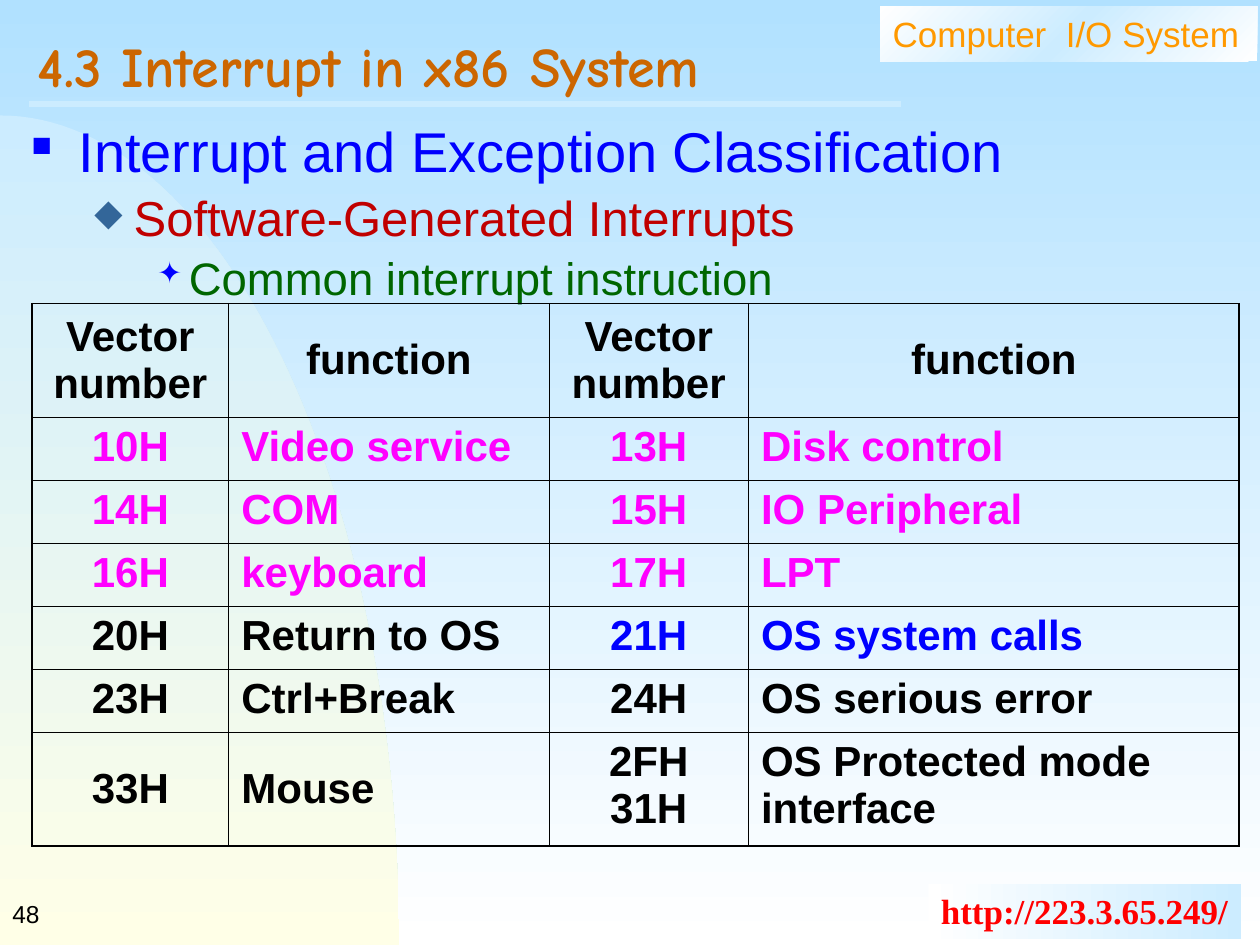
from dataclasses import dataclass
from math import cos, pi, sin

from lxml.etree import SubElement
from pptx import Presentation
from pptx.dml.color import RGBColor
from pptx.enum.shapes import MSO_CONNECTOR as CONN, MSO_SHAPE as SHAPE
from pptx.enum.text import MSO_ANCHOR as ANCHOR, MSO_AUTO_SIZE as AUTO, PP_ALIGN as ALIGN
from pptx.oxml.ns import qn
from pptx.util import Pt


@dataclass(frozen=True)
class Theme:
    sans: str = "Arial"
    serif: str = "Times New Roman"
    display: str = "Comic Neue"
    black: str = "000000"
    white: str = "FFFFFF"
    sky: str = "B1E1FF"
    pale: str = "CCECFF"
    cream: str = "FFFFE7"
    orange: str = "FF9900"
    brown: str = "CC6600"
    red: str = "FF0000"
    crimson: str = "C00000"
    green: str = "006600"
    blue: str = "0000FF"
    steel: str = "336699"
    magenta: str = "FF00FF"
    title: int = 32
    body: tuple = (32, 28, 26)
    cell: int = 24
    label: int = 20
    number: int = 14
    outer: float = 1.08
    inner: float = 0.45


T = Theme()
WIDTH, HEIGHT = 720, 540

VECTORS = [
    ("Vector number", "function", "Vector number", "function"),
    ("10H", "Video service", "13H", "Disk control"),
    ("14H", "COM", "15H", "IO Peripheral"),
    ("16H", "keyboard", "17H", "LPT"),
    ("20H", "Return to OS", "21H", "OS system calls"),
    ("23H", "Ctrl+Break", "24H", "OS serious error"),
    ("33H", "Mouse", "2FH\n31H", "OS Protected mode interface"),
]
COL_WIDTHS = (112.5, 183, 114, 280.5)
ROW_HEIGHTS = (64.8, 36, 36, 36, 36, 36, 64.8)


def pts(box):
    return [Pt(v) for v in box]


def add_run(p, text, size, color, font=T.sans, bold=False):
    r = p.add_run()
    r.text = text
    r.font.size, r.font.name, r.font.bold = Pt(size), font, bold
    r.font.color.rgb = RGBColor.from_string(color)


def set_gradient(fill, element, colors, angle):
    """Spread the colours evenly; the angle runs clockwise."""
    fill.gradient()
    fill.gradient_angle = -angle % 360
    stops = element.find(".//" + qn("a:gsLst"))
    for stop in list(stops):
        stops.remove(stop)
    for i, color in enumerate(colors):
        stop = SubElement(stops, qn("a:gs"), pos=str(i * 100000 // (len(colors) - 1)))
        SubElement(stop, qn("a:srgbClr"), val=color)


def add_corner_curve(slide, box):
    """Quarter ellipse centred on the lower left corner of the box."""
    left, top, width, height = box
    bottom = top + height
    steps = 60
    arc = [(Pt(left + width * sin(a)), Pt(bottom - height * cos(a)))
           for a in (pi / 2 * i / steps for i in range(steps + 1))]
    builder = slide.shapes.build_freeform(*arc[0])
    builder.add_line_segments(arc[1:] + [(Pt(left), Pt(bottom))], close=True)
    sp = builder.convert_to_shape()
    sp.shadow.inherit = False
    sp.line.fill.background()
    set_gradient(sp.fill, sp._element.spPr, (T.pale, T.cream), 90)


def add_label(slide, box, text, color, font, bold, colors, angle, wrap):
    sp = slide.shapes.add_shape(SHAPE.RECTANGLE, *pts(box))
    sp.shadow.inherit = False
    sp.line.fill.background()
    set_gradient(sp.fill, sp._element.spPr, colors, angle)
    tf = sp.text_frame
    tf.word_wrap, tf.vertical_anchor = wrap, ANCHOR.TOP
    p = tf.paragraphs[0]
    p.alignment = ALIGN.LEFT
    add_run(p, text, T.label, color, font, bold)


def add_rule(slide, start, end):
    line = slide.shapes.add_connector(CONN.STRAIGHT, *pts(start + end))
    line.line.color.rgb = RGBColor.from_string(T.pale)
    line.line.width = Pt(3)
    SubElement(line._element.spPr, qn("a:effectLst"))


def add_page_number(slide, box, text):
    tf = slide.shapes.add_textbox(*pts(box)).text_frame
    tf.word_wrap, tf.vertical_anchor = True, ANCHOR.MIDDLE
    add_run(tf.paragraphs[0], text, T.number, T.black)


def place_title(slide, box, text):
    title = slide.shapes.title
    title.left, title.top, title.width, title.height = pts(box)
    tf = title.text_frame
    tf.auto_size, tf.vertical_anchor = AUTO.NONE, ANCHOR.MIDDLE
    p = tf.paragraphs[0]
    p.alignment, p.line_spacing = ALIGN.LEFT, 0.7
    add_run(p, text, T.title, T.brown, T.display, True)


def add_outline(slide, box):
    # text, text colour, bullet, bullet colour, bullet %, margin, hanging indent
    items = [
        ("Interrupt and Exception Classification", T.blue, "■", T.blue, 50, 27, 27),
        ("Software-Generated Interrupts", T.crimson, "◆", T.steel, 75, 58.5, 22.5),
        ("Common interrupt instruction", T.green, "✦", T.blue, 65, 90, 18),
    ]
    tf = slide.shapes.add_textbox(*pts(box)).text_frame
    tf.word_wrap = True
    for level, (text, color, mark, mark_color, percent, margin, hang) in enumerate(items):
        p = tf.add_paragraph() if level else tf.paragraphs[0]
        p.level = level
        if level:
            p.space_before = Pt(2)
        pPr = p._p.get_or_add_pPr()
        pPr.set("marL", str(Pt(margin)))
        pPr.set("indent", str(-Pt(hang)))
        SubElement(SubElement(pPr, qn("a:buClr")), qn("a:srgbClr"), val=mark_color)
        SubElement(pPr, qn("a:buSzPct"), val=str(percent * 1000))
        SubElement(pPr, qn("a:buChar"), char=mark)
        add_run(p, text, T.body[level], color)


def set_border(cell, side, width):
    ln = SubElement(cell._tc.get_or_add_tcPr(), qn("a:ln" + side), w=str(Pt(width)))
    SubElement(SubElement(ln, qn("a:solidFill")), qn("a:srgbClr"), val=T.black)


def cell_color(row, col):
    if 1 <= row <= 3:
        return T.magenta
    return T.blue if row == 4 and col >= 2 else T.black


def add_vector_table(slide, left, top):
    rows, cols = len(ROW_HEIGHTS), len(COL_WIDTHS)
    box = (left, top, sum(COL_WIDTHS), sum(ROW_HEIGHTS))
    table = slide.shapes.add_table(rows, cols, *pts(box)).table
    table.first_row = table.horz_banding = False
    for column, width in zip(table.columns, COL_WIDTHS):
        column.width = Pt(width)
    for r, height in enumerate(ROW_HEIGHTS):
        table.rows[r].height = Pt(height)
        for c, text in enumerate(VECTORS[r]):
            cell = table.cell(r, c)
            # Heavier lines only around the outside
            edges = {"L": c == 0, "R": c == cols - 1, "T": r == 0, "B": r == rows - 1}
            for side, outside in edges.items():
                set_border(cell, side, T.outer if outside else T.inner)
            cell.fill.background()
            middle = r == 0 or (r == rows - 1 and c < 2)
            cell.vertical_anchor = ANCHOR.MIDDLE if middle else ANCHOR.TOP
            tf = cell.text_frame
            for i, line in enumerate(text.split("\n")):
                p = tf.add_paragraph() if i else tf.paragraphs[0]
                p.alignment = ALIGN.CENTER if r == 0 or c % 2 == 0 else ALIGN.LEFT
                add_run(p, line, T.cell, cell_color(r, c), bold=True)


def main():
    prs = Presentation()
    prs.slide_width, prs.slide_height = Pt(WIDTH), Pt(HEIGHT)
    slide = prs.slides.add_slide(prs.slide_layouts[5])

    # Backdrop, labels and page number
    set_gradient(slide.background.fill, slide._element, (T.sky, T.white), 90)
    add_corner_curve(slide, (0, 66, 228, 474))
    add_label(slide, (503, 3.5, 215.5, 31.5), "Computer  I/O System", T.orange, T.sans,
              False, (T.white, T.pale, T.white), 45, True)
    add_label(slide, (530.5, 505, 178.5, 31.5), "http://223.3.65.249/", T.red, T.serif,
              True, (T.white, T.pale), 0, False)
    add_rule(slide, (16.5, 59.5), (515, 59.5))
    add_page_number(slide, (0, 504, 150, 36), "48")

    # Content
    place_title(slide, (14.4, 14.4, 687.6, 55.5), "4.3 Interrupt in x86 System")
    add_outline(slide, (10.8, 63, 691, 110))
    add_vector_table(slide, 18.25, 173.5)
    prs.save("out.pptx")


if __name__ == "__main__":
    main()
